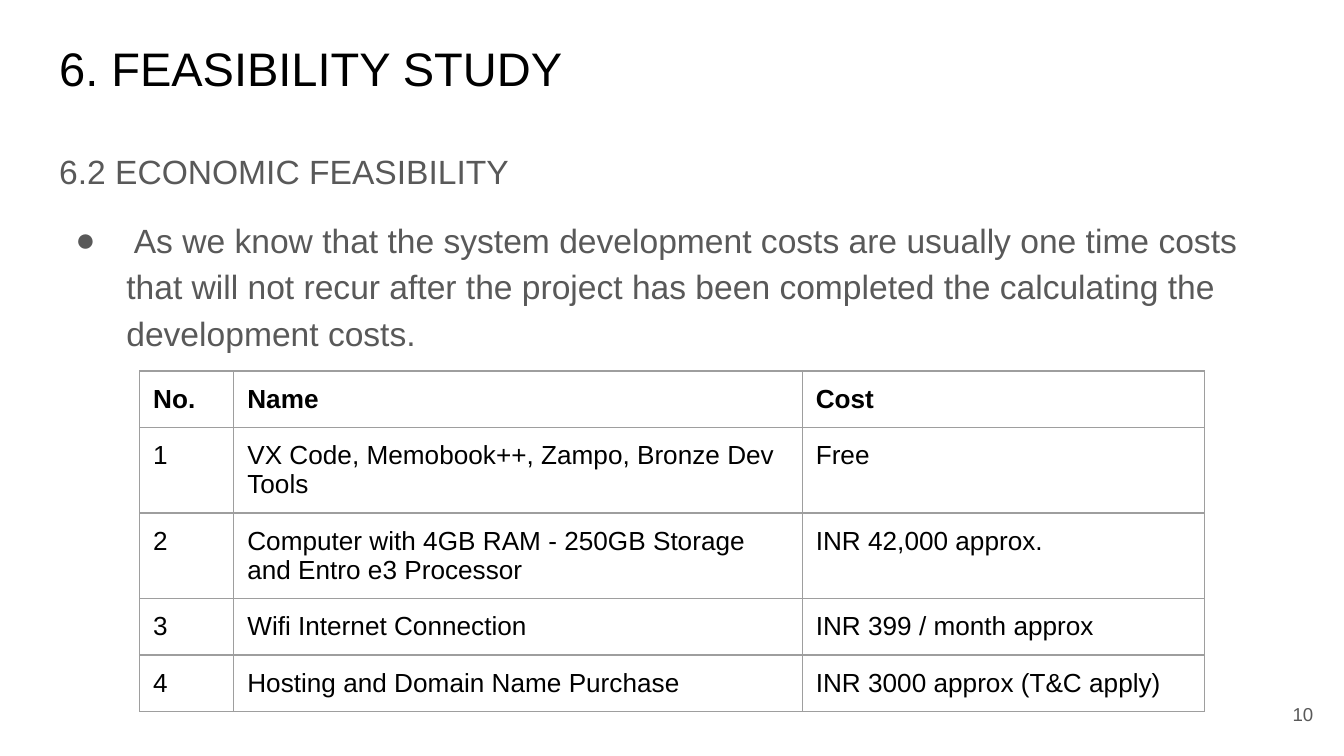
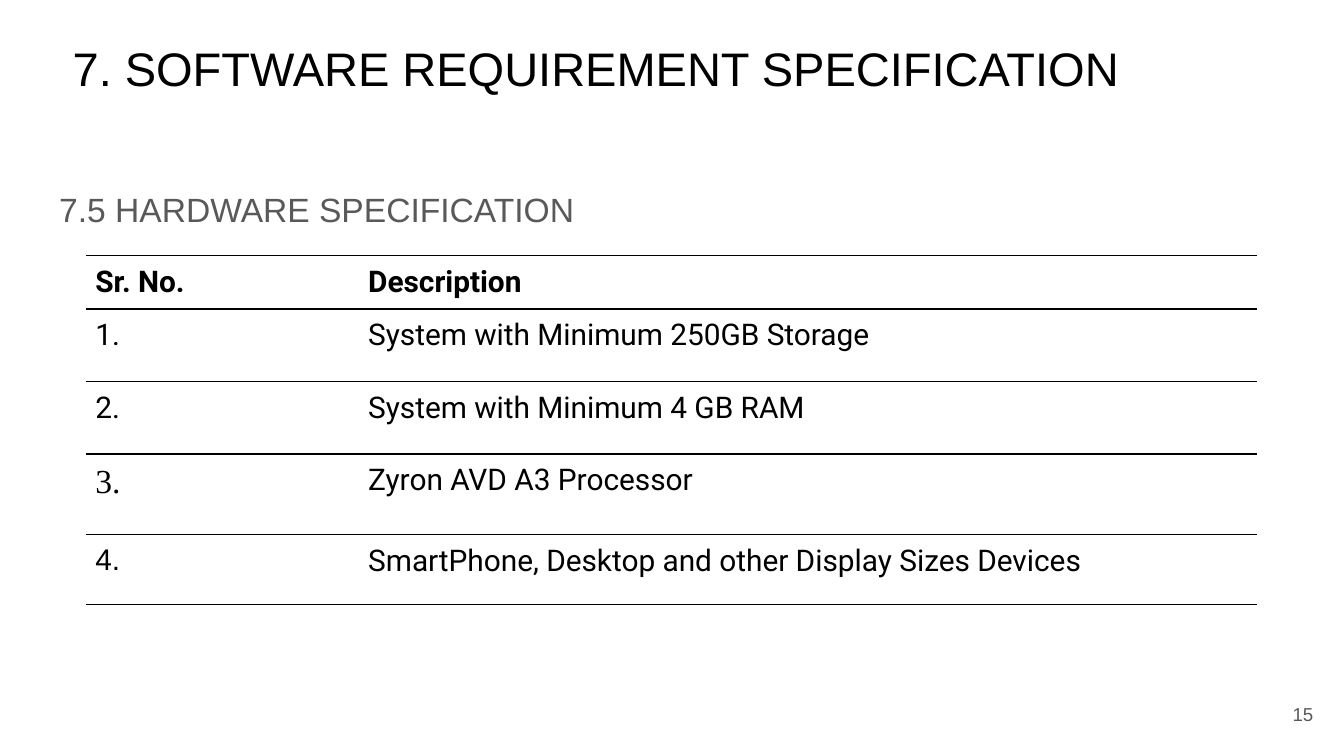
from lxml.etree import SubElement
from pptx import Presentation
from pptx.dml.color import RGBColor
from pptx.enum.text import MSO_ANCHOR as Anchor, MSO_AUTO_SIZE as AutoSize, PP_ALIGN as Align
from pptx.oxml.ns import qn
from pptx.util import Inches, Pt

BLACK = RGBColor(0x00, 0x00, 0x00)
GREY = RGBColor(0x59, 0x59, 0x59)
RULE_GREY = RGBColor(0x9E, 0x9E, 0x9E)
WIDTH = 10
HEIGHT = WIDTH * 9 / 16
TEXT_WIDTH = 9.32
INSET = 0.1
THIN = 0.75

PAGES = [
    {
        "number": "10",
        "title": "6. FEASIBILITY STUDY",
        "title_left": 0.34,
        "heading": "6.2 ECONOMIC FEASIBILITY",
        "bullets": [" As we know that the system development costs are usually one time costs "
                    "that will not recur after the project has been completed the calculating "
                    "the development costs."],
        "body_top": 0.98, "body_height": 1.75, "heading_after": 0,
        "table": {
            "rows": [
                ("No.", "Name", "Cost"),
                ("1", "VX Code, Memobook++, Zampo, Bronze Dev Tools", "Free"),
                ("2", "Computer with 4GB RAM - 250GB Storage and Entro e3 Processor",
                 "INR 42,000 approx."),
                ("3", "Wifi Internet Connection", "INR 399 / month approx"),
                ("4", "Hosting and Domain Name Purchase", "INR 3000 approx (T&C apply)"),
            ],
            "left": 1.04, "top": 2.76,
            "widths": (0.7, 4.23, 2.99), "heights": (0.42,) * 5,
            "font": ("Arial", 14), "inset": 0.1,
            "rule": (RULE_GREY, THIN), "upright_rules": True,
        },
    },
    {
        "number": "15",
        "title": "7. SOFTWARE REQUIREMENT SPECIFICATION",
        "title_left": 0.44,
        "heading": "7.5 HARDWARE SPECIFICATION",
        "bullets": [],
        "body_top": 1.26, "body_height": 3.74, "heading_after": 12,
        "table": {
            "rows": [
                ("Sr. No.", "Description"),
                ("1.", "System with Minimum 250GB Storage"),
                ("2.", "System with Minimum 4 GB RAM"),
                ("3.", "Zyron AVD A3 Processor"),
                ("4.", "SmartPhone, Desktop and other Display Sizes Devices"),
            ],
            "left": 0.64, "top": 1.9,
            "widths": (2.03, 6.68), "heights": (0.33, 0.54, 0.54, 0.6, 0.52),
            "font": ("Roboto", 16), "inset": 0.07,
            "rule": (BLACK, 1), "upright_rules": False,
            "thin_below": {(2, 1)},
            "cell_fonts": {(3, 0): ("Times New Roman", 18), (4, 0): ("Arial", 16)},
        },
    },
]


def style(para, name, size, color, bold=False):
    font = para.font
    font.name, font.size, font.bold = name, Pt(size), bold
    font.color.rgb = color


def set_insets(frame, anchor):
    frame.margin_left = frame.margin_right = Inches(INSET)
    frame.margin_top = frame.margin_bottom = Inches(INSET)
    frame.word_wrap, frame.auto_size = True, AutoSize.NONE
    frame.vertical_anchor = anchor


def place(shape, *lengths):
    shape.left, shape.top, shape.width, shape.height = map(Inches, lengths)


def set_bullet(para, mark=None, margin=0, indent=0):
    """Give the paragraph a bullet mark, or none, and its indents."""
    props = para._p.get_or_add_pPr()
    props.set("marL", str(Inches(margin)))
    props.set("indent", str(Inches(indent)))
    if mark:
        color = SubElement(props, qn("a:buClr"))
        SubElement(color, qn("a:srgbClr"), val=str(GREY))
        SubElement(props, qn("a:buFont"), typeface="Arial")
        SubElement(props, qn("a:buChar"), char=mark)
    else:
        SubElement(props, qn("a:buNone"))


def add_title(page, text, left):
    title = page.shapes.title
    place(title, left, 0.19, TEXT_WIDTH, 0.63)
    set_insets(title.text_frame, Anchor.TOP)
    title.text_frame.text = text
    para = title.text_frame.paragraphs[0]
    para.alignment = Align.LEFT
    style(para, "Arial", 25.2, BLACK)


def add_body(page, content):
    body = page.placeholders[1]
    place(body, 0.34, content["body_top"], TEXT_WIDTH, content["body_height"])
    frame = body.text_frame
    set_insets(frame, Anchor.TOP)
    frame.text = "\n".join([content["heading"], *content["bullets"]])
    for index, para in enumerate(frame.paragraphs):
        para.line_spacing = 1.15
        para.space_before = Pt(12 if index else 0)
        para.space_after = Pt(0 if index else content["heading_after"])
        if index:
            set_bullet(para, "●", 0.5, -0.38)
        else:
            set_bullet(para)
        style(para, "Arial", 18, GREY)


def set_border(cell, side, color, weight):
    """Draw one side (L, R, T or B) of a cell; weight 0 leaves it open."""
    line = SubElement(cell._tc.get_or_add_tcPr(), qn(f"a:ln{side}"), w=str(Pt(weight)))
    if weight:
        fill = SubElement(line, qn("a:solidFill"))
        SubElement(fill, qn("a:srgbClr"), val=str(color))
    else:
        SubElement(line, qn("a:noFill"))


def add_table(page, spec):
    rows, widths, heights = spec["rows"], spec["widths"], spec["heights"]
    table = page.shapes.add_table(
        len(rows), len(widths), Inches(spec["left"]), Inches(spec["top"]),
        Inches(sum(widths)), Inches(sum(heights))).table
    table.first_row = table.horz_banding = False
    for column, width in zip(table.columns, widths):
        column.width = Inches(width)
    for row, height in zip(table.rows, heights):
        row.height = Inches(height)

    color, weight = spec["rule"]
    upright = weight if spec["upright_rules"] else 0
    thin_below = spec.get("thin_below", ())
    cell_fonts = spec.get("cell_fonts", {})
    for r, texts in enumerate(rows):
        for c, text in enumerate(texts):
            cell = table.cell(r, c)
            cell.text = text
            cell.margin_left = cell.margin_right = Inches(spec["inset"])
            cell.margin_top = cell.margin_bottom = Inches(spec["inset"])
            name, size = cell_fonts.get((r, c), spec["font"])
            style(cell.text_frame.paragraphs[0], name, size, BLACK, bold=r == 0)
            top = THIN if (r - 1, c) in thin_below else weight
            bottom = THIN if (r, c) in thin_below else weight
            for side, line in zip("LRTB", (upright, upright, top, bottom)):
                set_border(cell, side, color, line)
            cell.fill.background()


def add_number(page, text):
    box = page.shapes.add_textbox(Inches(9.27), Inches(5.1), Inches(0.6), Inches(0.43))
    set_insets(box.text_frame, Anchor.MIDDLE)
    box.text_frame.text = text
    para = box.text_frame.paragraphs[0]
    para.alignment = Align.RIGHT
    style(para, "Arial", 10, GREY)


def main():
    deck = Presentation()
    deck.slide_width, deck.slide_height = Inches(WIDTH), Inches(HEIGHT)
    for content in PAGES:
        page = deck.slides.add_slide(deck.slide_layouts[1])
        add_title(page, content["title"], content["title_left"])
        add_body(page, content)
        add_table(page, content["table"])
        add_number(page, content["number"])
    deck.save("out.pptx")


if __name__ == "__main__":
    main()
